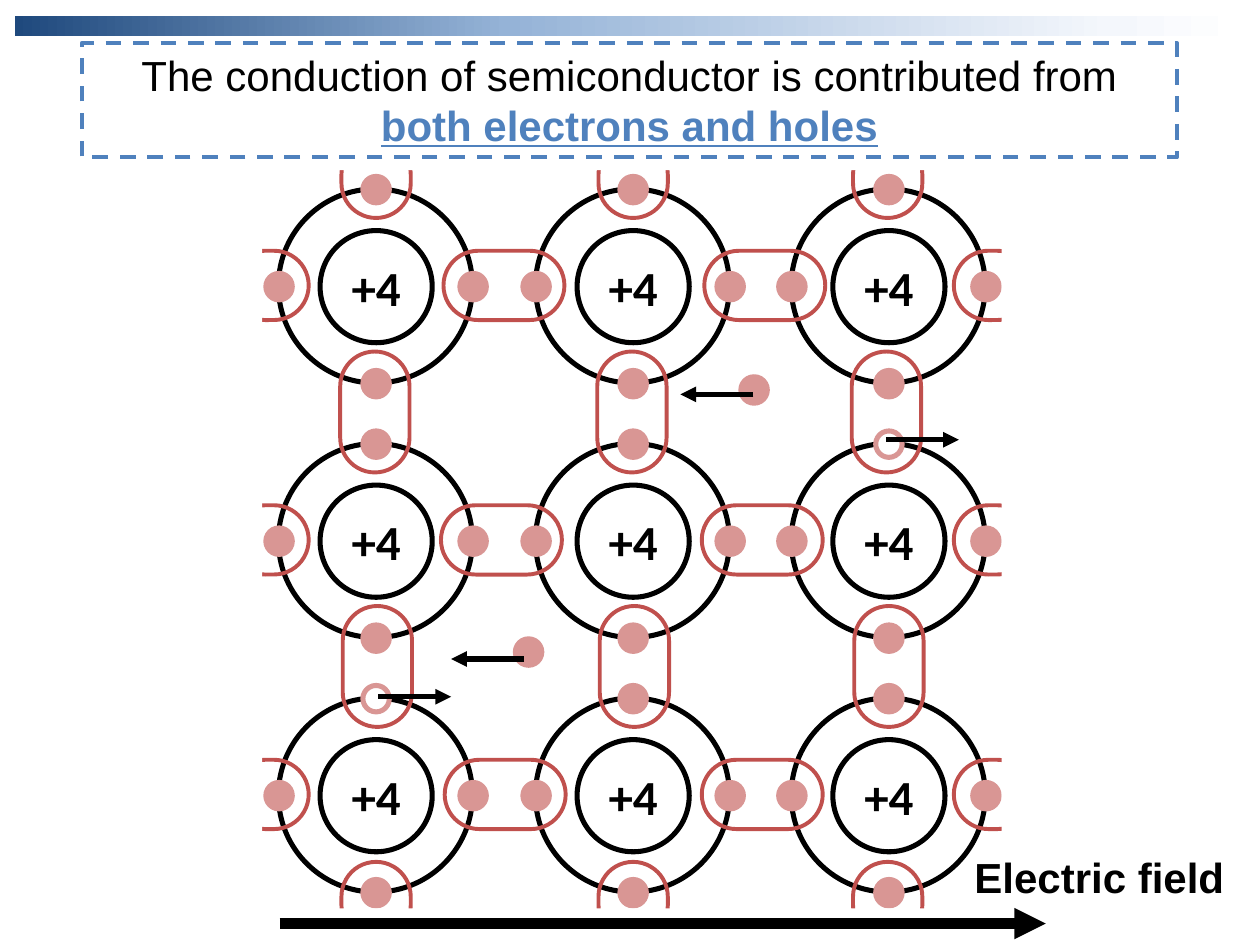
from dataclasses import dataclass

from lxml import etree
from pptx import Presentation
from pptx.dml.color import RGBColor
from pptx.enum.dml import MSO_LINE
from pptx.enum.shapes import MSO_CONNECTOR, MSO_SHAPE
from pptx.enum.text import MSO_ANCHOR, MSO_AUTO_SIZE, PP_ALIGN
from pptx.oxml.ns import qn
from pptx.util import Emu, Pt

OVAL, PILL, RECT = MSO_SHAPE.OVAL, MSO_SHAPE.ROUNDED_RECTANGLE, MSO_SHAPE.RECTANGLE
STRAIGHT, DASH = MSO_CONNECTOR.STRAIGHT, MSO_LINE.DASH
TOP, MIDDLE, CENTER = MSO_ANCHOR.TOP, MSO_ANCHOR.MIDDLE, PP_ALIGN.CENTER
FIT = MSO_AUTO_SIZE.SHAPE_TO_FIT_TEXT

SCALE = 9144  # EMU per px, 100 px to the inch


@dataclass(frozen=True)
class Theme:
    ink: str = "000000"
    paper: str = "FFFFFF"
    dot: str = "D99694"
    bond: str = "C0504D"
    blue: str = "4F81BD"
    fade: tuple = ((0, "1F497D"), (40, "95B3D7"), (89, "F4F7FC"), (100, "FFFFFF"))
    font: str = "Arial"
    core_font: str = "Calibri"
    text: int = 24
    core: int = 28
    ring: float = 2.88
    thin: float = 2.25
    arrow: float = 3
    field: float = 6


T = Theme()

# Lattice of atoms
COLS = (298, 502, 705)
ROWS = (227, 429, 631)
RING, CORE, DOT, ORBIT = 154, 89, 21, 77
HOLES = {(1, 2), (2, 0)}  # row, column of atoms with an empty top place
FREE = ((588, 299), (409, 507))
LONG, HALF, WIDE = 96, 62, 55
FLAT = ((352, 559), (350, 557), (353, 557))  # left edges of bonds, by row
TALL = (270, 474, 676)  # left edges of upright bonds


def px(n):
    return Emu(n * SCALE)


def color(code):
    return RGBColor.from_string(code)


def add_box(shapes, kind, left, top, wide, high, fill=None, line=None, width=0):
    box = shapes.add_shape(kind, px(left), px(top), px(wide), px(high))
    box.shadow.inherit = False
    if fill:
        box.fill.solid()
        box.fill.fore_color.rgb = color(fill)
    else:
        box.fill.background()
    if line:
        box.line.color.rgb = color(line)
        box.line.width = Pt(width)
    else:
        box.line.fill.background()
    return box


def add_disc(shapes, x, y, size, fill=None, line=T.ink):
    return add_box(shapes, OVAL, x - size // 2, y - size // 2, size, size,
                   fill, line, T.ring)


def add_pill(shapes, left, top, wide, high):
    add_box(shapes, PILL, left, top, wide, high, None, T.bond,
            T.thin).adjustments[0] = 0.5


def style(run, size, ink, font=T.font, bold=False):
    run.font.size = Pt(size)
    run.font.name = font
    run.font.bold = bold
    run.font.color.rgb = color(ink)


def add_atom(slide, x, y, hole):
    shapes = slide.shapes.add_group_shape().shapes
    add_disc(shapes, x, y, RING)
    core = add_disc(shapes, x, y, CORE)
    frame = core.text_frame
    frame.text = "+4"
    frame.word_wrap = False
    frame.vertical_anchor = MIDDLE
    frame.paragraphs[0].alignment = CENTER
    style(frame.paragraphs[0].runs[0], T.core, T.ink, T.core_font, True)
    for dx, dy in ((0, -ORBIT), (-ORBIT, 0), (0, ORBIT), (ORBIT, 0)):
        empty = hole and dy < 0
        add_disc(shapes, x + dx, y + dy, DOT, T.paper if empty else T.dot, T.dot)


def add_bonds(slide):
    shapes = slide.shapes.add_group_shape().shapes
    # Whole bonds between neighbours
    for y, lefts in zip(ROWS, FLAT):
        for left in lefts:
            add_pill(shapes, left, y - 28, LONG, WIDE)
    for row, top in enumerate((279, 481)):
        for left in TALL:
            add_pill(shapes, left + 2 * row, top, WIDE, LONG)
    # Bonds cut off at the lattice edges by white covers
    for y in ROWS:
        for left, cover in ((183, 153), (757, 795)):
            add_pill(shapes, left, y - 28, HALF, WIDE)
            add_box(shapes, RECT, cover, y - 33, 55, 64, T.paper)
    for left in TALL:
        for top, cover, high in ((111, 80, 55), (684, 721, 29)):
            add_pill(shapes, left + 1, top, WIDE, HALF)
            add_box(shapes, RECT, left - 3, cover, 64, high, T.paper)


def add_arrow(slide, x, y, end, width):
    line = slide.shapes.add_connector(STRAIGHT, px(x), px(y), px(end), px(y))
    line.line.color.rgb = color(T.ink)
    line.line.width = Pt(width)
    etree.SubElement(line.line._get_or_add_ln(), qn("a:tailEnd"), type="triangle")
    etree.SubElement(line._element.spPr, qn("a:effectLst"))


def add_band(slide):
    band = add_box(slide.shapes, RECT, 12, 13, 976, 16)
    band.fill.gradient()
    band.fill.gradient_angle = 0
    stops = band._element.spPr.find(qn("a:gradFill")).find(qn("a:gsLst"))
    for stop in list(stops):
        stops.remove(stop)
    for place, code in T.fade:
        stop = etree.SubElement(stops, qn("a:gs"), pos=str(place * 1000))
        etree.SubElement(stop, qn("a:srgbClr"), val=code)


def add_title(slide):
    box = add_box(slide.shapes, RECT, 65, 34, 869, 91, None, T.blue, T.thin)
    box.line.dash_style = DASH
    frame = box.text_frame
    frame.text = "The conduction of semiconductor is contributed from "
    frame.word_wrap = True
    frame.auto_size = FIT
    frame.vertical_anchor = TOP
    para = frame.paragraphs[0]
    para.alignment = CENTER
    style(para.runs[0], T.text, T.ink)
    key = para.add_run()
    key.text = "both electrons and holes"
    style(key, T.text, T.blue, bold=True)
    key.font.underline = True


def add_label(slide, text, left, top, wide, high):
    frame = slide.shapes.add_textbox(px(left), px(top), px(wide), px(high)).text_frame
    frame.text = text
    frame.word_wrap = True
    frame.auto_size = FIT
    frame.paragraphs[0].alignment = CENTER
    style(frame.paragraphs[0].runs[0], T.text, T.ink, bold=True)


def main():
    deck = Presentation()
    deck.slide_width, deck.slide_height = px(1000), px(750)
    slide = deck.slides.add_slide(deck.slide_layouts[6])

    # Crystal
    for row, y in enumerate(ROWS):
        for col, x in enumerate(COLS):
            add_atom(slide, x, y, (row, col) in HOLES)
    for left, top in FREE:
        add_box(slide.shapes, OVAL, left, top, DOT, DOT, T.dot, T.dot, T.ring)
    add_bonds(slide)

    # Heading
    add_band(slide)
    add_title(slide)

    # Electric field
    add_arrow(slide, 222, 733, 830, T.field)
    add_label(slide, "Electric field", 745, 671, 255, 50)

    # Motion of electrons to the left, of holes to the right
    for x, y, step in ((416, 523, -58), (598, 313, -58), (300, 553, 58), (703, 349, 58)):
        add_arrow(slide, x, y, x + step, T.arrow)

    deck.save("out.pptx")


if __name__ == "__main__":
    main()
